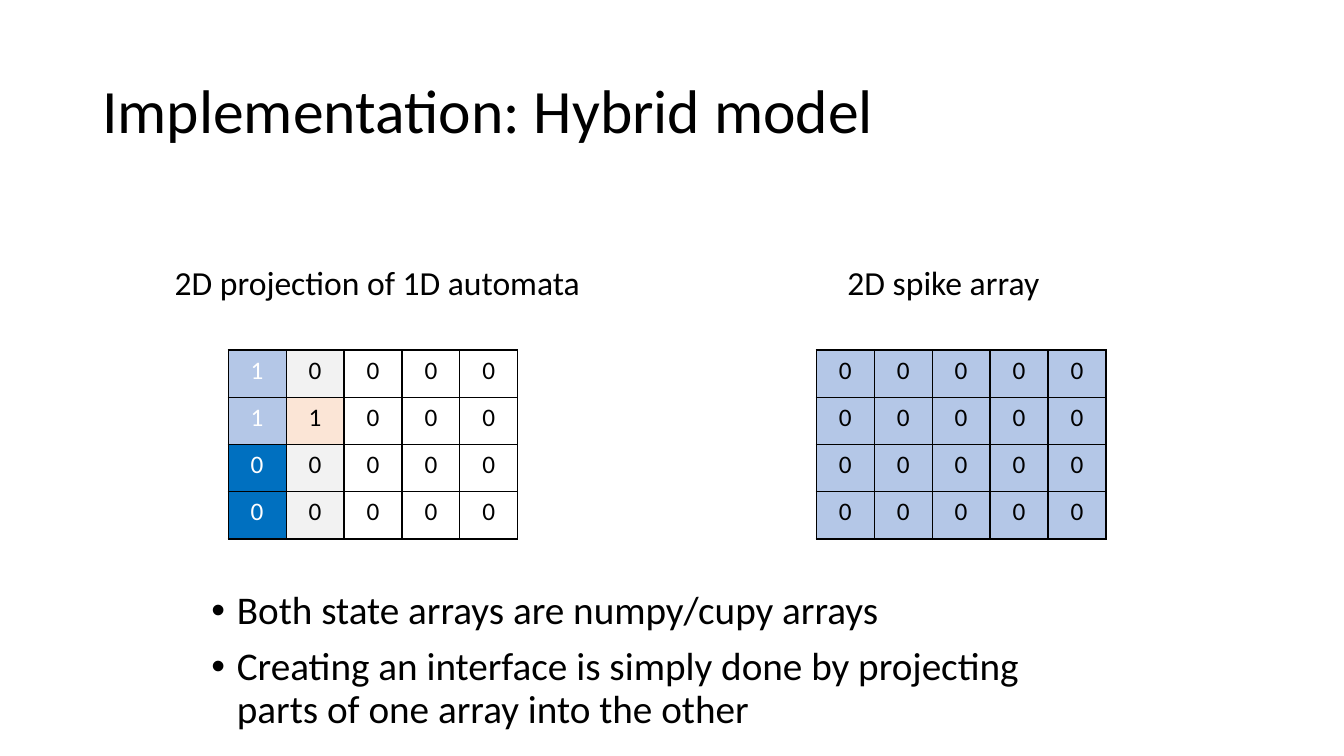
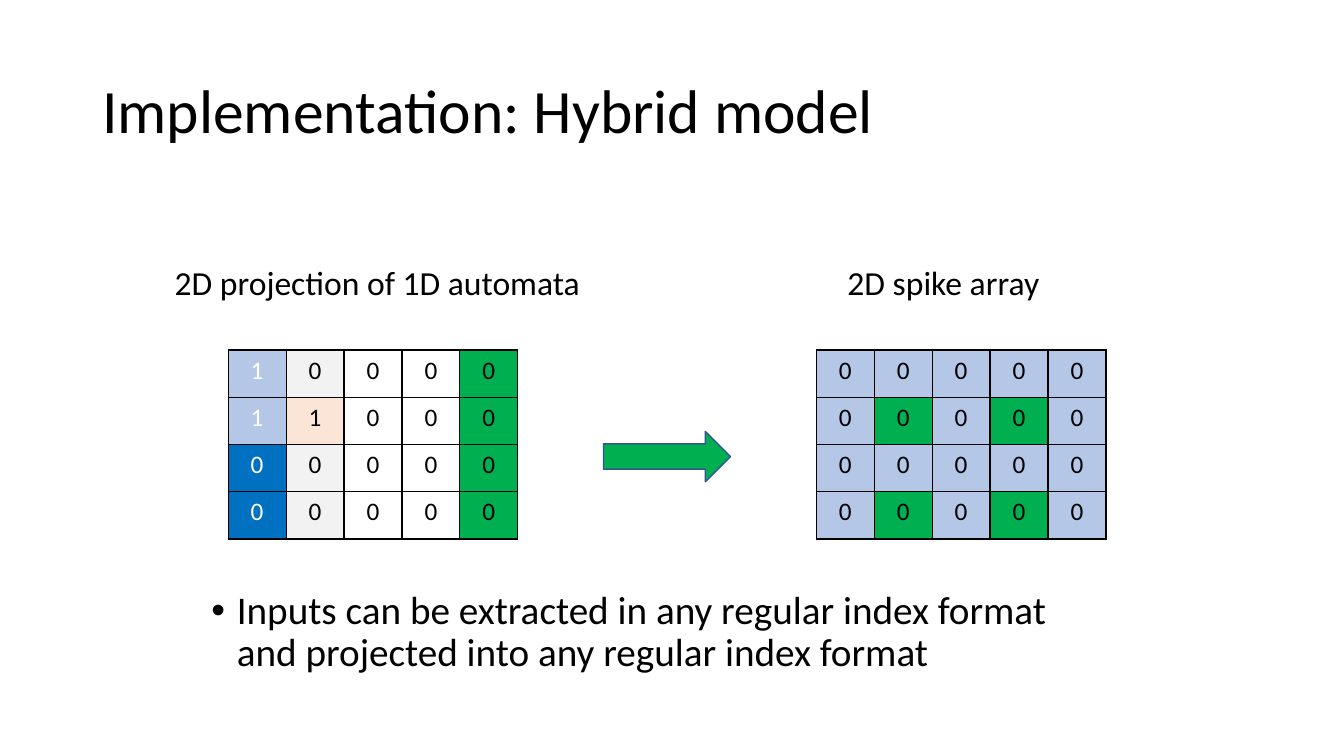
from dataclasses import dataclass
from typing import NamedTuple

from lxml import etree
from pptx import Presentation
from pptx import util as u
from pptx.dml.color import RGBColor
from pptx.enum import shapes, text
from pptx.oxml import ns
from pptx.slide import Slide


@dataclass(frozen=True)
class Theme:
    font: str = "Calibri"
    ink: str = "000000"
    paper: str = "FFFFFF"
    pale_blue: str = "B4C7E7"
    blue: str = "0070C0"
    grey: str = "F2F2F2"
    peach: str = "FBE5D6"
    green: str = "00B050"
    arrow_edge: str = "325491"
    title_size: int = 44
    caption_size: int = 24
    bullet_size: int = 28
    cell_size: int = 18
    rule_width: int = 1


THEME = Theme()


class Area(NamedTuple):
    left: float
    top: float
    width: float
    height: float

    def lengths(self) -> list[u.Cm]:
        return [u.Cm(value) for value in self]


class Tone(NamedTuple):
    fill: str
    ink: str = THEME.ink


@dataclass(frozen=True)
class StateArray:
    caption: str
    caption_area: Area
    left: float
    values: tuple[str, ...]


@dataclass(frozen=True)
class Stage:
    automata_tones: tuple[str, ...]
    spike_tones: tuple[str, ...]
    bullets: tuple[str, ...]
    has_arrow: bool = False


TONES = {
    "p": Tone(THEME.pale_blue),
    "P": Tone(THEME.pale_blue, THEME.paper),
    "B": Tone(THEME.blue, THEME.paper),
    "g": Tone(THEME.grey),
    "o": Tone(THEME.peach),
    "w": Tone(THEME.paper),
    "G": Tone(THEME.green),
}

HEADING = "Implementation: Hybrid model"
HEADING_AREA = Area(2.33, 1.01, 29.21, 3.68)
BULLETS_AREA = Area(5.08, 14.76, 22.43, 3.99)
ARROW_AREA = Area(15.21, 10.87, 3.2, 1.27)
GRID_TOP = 8.82
COLUMN_WIDTH = 1.46
ROW_HEIGHT = 1.19
BULLET_INDENT = 0.64

AUTOMATA = StateArray(
    "2D projection of 1D automata",
    Area(3.25, 6.48, 12.52, 1.27),
    5.75,
    ("10000", "11000", "00000", "00000"),
)
SPIKES = StateArray(
    "2D spike array", Area(19.38, 6.48, 8.79, 1.27), 20.57, ("00000",) * 4
)

STAGES = (
    Stage(
        ("Pgwww", "Powww", "Bgwww", "Bgwww"),
        ("ppppp",) * 4,
        (
            "Both state arrays are numpy/cupy arrays",
            "Creating an interface is simply done by projecting parts of one array into the other",
        ),
    ),
    Stage(
        ("PgwwG", "PowwG", "BgwwG", "BgwwG"),
        ("ppppp", "pGpGp") * 2,
        (
            "Inputs can be extracted in any regular index format "
            "and projected into any regular index format",
        ),
        has_arrow=True,
    ),
)


def add_run(paragraph, words: str, size: int, ink: str = THEME.ink) -> None:
    run = paragraph.add_run()
    run.text = words
    run.font.name = THEME.font
    run.font.size = u.Pt(size)
    run.font.bold = False
    run.font.color.rgb = RGBColor.from_string(ink)


def add_frame(slide: Slide, area: Area):
    frame = slide.shapes.add_textbox(*area.lengths()).text_frame
    frame.word_wrap = True
    return frame


def add_heading(slide: Slide) -> None:
    frame = add_frame(slide, HEADING_AREA)
    frame.vertical_anchor = text.MSO_ANCHOR.MIDDLE
    paragraph = frame.paragraphs[0]
    paragraph.line_spacing = 0.9
    add_run(paragraph, HEADING, THEME.title_size)


def rule_cell(cell) -> None:
    properties = cell._tc.get_or_add_tcPr()
    for position, side in enumerate(("lnL", "lnR", "lnT", "lnB")):
        line = etree.Element(ns.qn(f"a:{side}"), w=str(u.Pt(THEME.rule_width)))
        fill = etree.SubElement(line, ns.qn("a:solidFill"))
        etree.SubElement(fill, ns.qn("a:srgbClr"), val=THEME.ink)
        properties.insert(position, line)


def add_state_array(slide: Slide, array: StateArray, tones: tuple[str, ...]) -> None:
    row_count, column_count = len(array.values), len(array.values[0])
    area = Area(
        array.left, GRID_TOP, COLUMN_WIDTH * column_count, ROW_HEIGHT * row_count
    )
    grid = slide.shapes.add_table(row_count, column_count, *area.lengths()).table
    grid.first_row = grid.horz_banding = False
    for row, (values, keys) in enumerate(zip(array.values, tones)):
        for column, (value, key) in enumerate(zip(values, keys)):
            cell, tone = grid.cell(row, column), TONES[key]
            cell.fill.solid()
            cell.fill.fore_color.rgb = RGBColor.from_string(tone.fill)
            rule_cell(cell)
            paragraph = cell.text_frame.paragraphs[0]
            paragraph.alignment = text.PP_ALIGN.CENTER
            add_run(paragraph, value, THEME.cell_size, tone.ink)


def add_caption(slide: Slide, array: StateArray) -> None:
    frame = add_frame(slide, array.caption_area)
    frame.auto_size = text.MSO_AUTO_SIZE.SHAPE_TO_FIT_TEXT
    paragraph = frame.paragraphs[0]
    paragraph.alignment = text.PP_ALIGN.CENTER
    add_run(paragraph, array.caption, THEME.caption_size)


def add_bullets(slide: Slide, bullets: tuple[str, ...]) -> None:
    frame = add_frame(slide, BULLETS_AREA)
    for index, words in enumerate(bullets):
        paragraph = frame.add_paragraph() if index else frame.paragraphs[0]
        properties = paragraph._p.get_or_add_pPr()
        properties.set("marL", str(u.Cm(BULLET_INDENT)))
        properties.set("indent", str(-u.Cm(BULLET_INDENT)))
        etree.SubElement(properties, ns.qn("a:buFont"), typeface="Arial")
        etree.SubElement(properties, ns.qn("a:buChar"), char="•")
        paragraph.line_spacing = 0.9
        if index:
            paragraph.space_before = u.Pt(10)
        add_run(paragraph, words, THEME.bullet_size)


def add_projection_arrow(slide: Slide) -> None:
    arrow = slide.shapes.add_shape(
        shapes.MSO_SHAPE.RIGHT_ARROW, *ARROW_AREA.lengths()
    )
    arrow.shadow.inherit = False
    arrow.fill.solid()
    arrow.fill.fore_color.rgb = RGBColor.from_string(THEME.green)
    arrow.line.color.rgb = RGBColor.from_string(THEME.arrow_edge)
    arrow.line.width = u.Pt(THEME.rule_width)


def add_stage(slide: Slide, stage: Stage) -> None:
    add_heading(slide)
    for array, tones in (
        (AUTOMATA, stage.automata_tones),
        (SPIKES, stage.spike_tones),
    ):
        add_state_array(slide, array, tones)
        add_caption(slide, array)
    add_bullets(slide, stage.bullets)
    if stage.has_arrow:
        add_projection_arrow(slide)


def main() -> None:
    deck = Presentation()
    deck.slide_width, deck.slide_height = u.Cm(33.87), u.Cm(19.05)
    blank = deck.slide_layouts[6]
    for stage in STAGES:
        add_stage(deck.slides.add_slide(blank), stage)
    deck.save("out.pptx")


if __name__ == "__main__":
    main()
